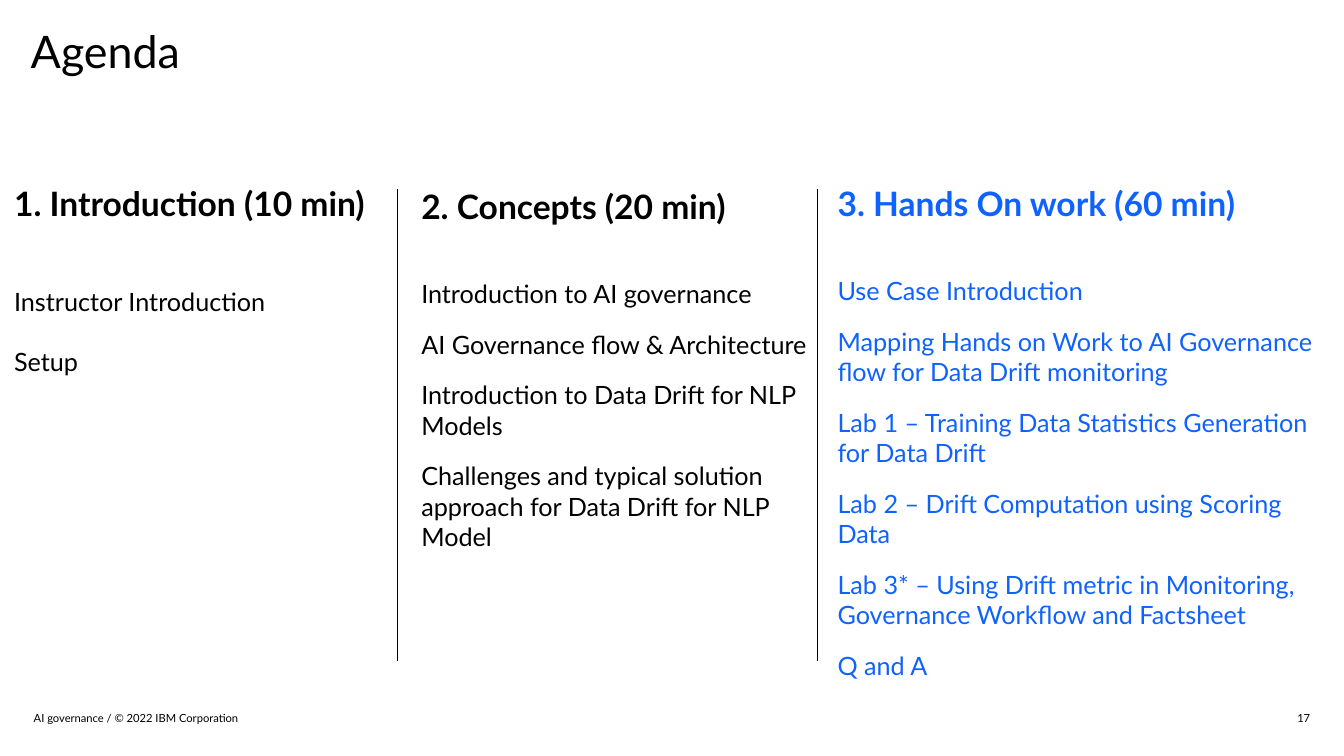
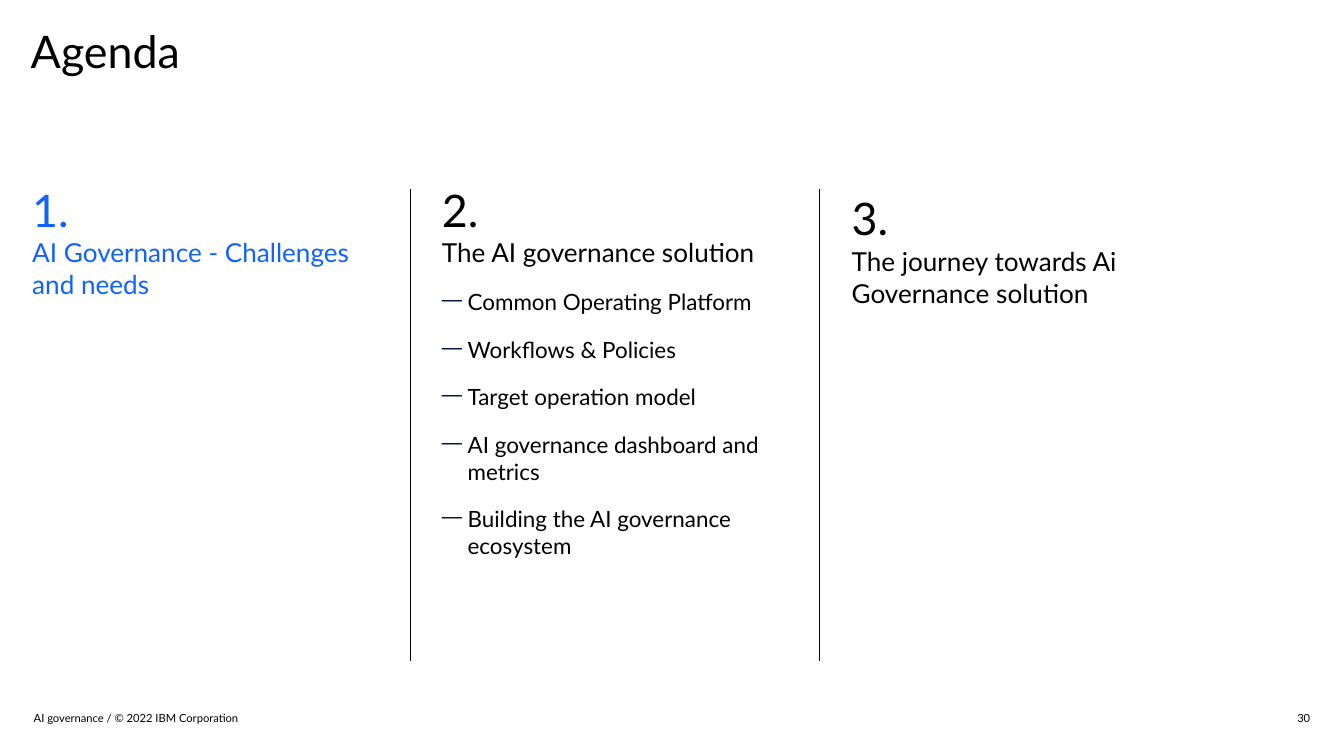
from dataclasses import dataclass

from lxml.etree import SubElement
from pptx import Presentation
from pptx.dml.color import RGBColor
from pptx.enum.shapes import MSO_CONNECTOR
from pptx.enum.text import MSO_ANCHOR, PP_ALIGN
from pptx.oxml.ns import qn
from pptx.util import Inches, Pt


@dataclass(frozen=True)
class Theme:
    font: str = "Lato"
    black: str = "000000"
    blue: str = "0F62FE"
    navy: str = "001141"
    title: float = 64
    heading: float = 48
    subheading: float = 37.3
    item: float = 36
    bullet: float = 32
    footer: float = 16
    gap: float = 29.3


T = Theme()
TOP, HEIGHT = 3.63, 9.48
RULE_TOP, RULE_BOTTOM = 3.76, 13.11


def add_box(slide, left, top, width, height, anchor=MSO_ANCHOR.TOP):
    """Add an unpadded, wrapping text box and return its text frame."""
    tf = slide.shapes.add_textbox(Inches(left), Inches(top), Inches(width), Inches(height)).text_frame
    tf.word_wrap = True
    tf.vertical_anchor = anchor
    tf.margin_left = tf.margin_top = tf.margin_right = tf.margin_bottom = 0
    return tf


def add_dash(p):
    """Give a paragraph a hanging em-dash bullet."""
    pPr = p._p.get_or_add_pPr()
    pPr.set("marL", str(Inches(0.51)))
    pPr.set("indent", str(-Inches(0.51)))
    SubElement(SubElement(pPr, qn("a:buClr")), qn("a:srgbClr"), val=T.navy)
    SubElement(pPr, qn("a:buSzPct"), val="90000")
    SubElement(pPr, qn("a:buChar"), char="—")


def add_run(p, text, size, color=T.black, bold=False):
    r = p.add_run()
    r.text = text
    r.font.name = T.font
    r.font.size = Pt(size)
    r.font.bold = bold
    r.font.color.rgb = RGBColor.from_string(color)


def write(tf, text, size, color=T.black, bold=False, before=0, align=PP_ALIGN.LEFT,
          line=None, dash=False):
    """Write one paragraph, using the frame's empty first one when it is free."""
    first = tf.paragraphs[0]
    p = tf.add_paragraph() if first.runs else first
    if dash:
        add_dash(p)
    p.alignment = align
    if before:
        p.space_before = Pt(before)
    if line:
        p.line_spacing = line
    add_run(p, text, size, color, bold)
    return p


def add_rule(slide, x):
    line = slide.shapes.add_connector(MSO_CONNECTOR.STRAIGHT, Inches(x), Inches(RULE_TOP),
                                      Inches(x), Inches(RULE_BOTTOM))
    line.line.color.rgb = RGBColor.from_string(T.black)
    line.line.width = Pt(0.25)
    SubElement(line._element.spPr, qn("a:effectLst"))


def add_agenda_slide(prs, number, rules):
    """Add a slide with the shared title, footer, page number and column rules."""
    slide = prs.slides.add_slide(prs.slide_layouts[6])
    write(add_box(slide, 0.61, 0.59, 12.08, 2.35), "Agenda", T.title, line=0.9)
    write(add_box(slide, 0.67, 14, 12, 0.49, MSO_ANCHOR.MIDDLE),
          "AI governance / © 2022 IBM Corporation", T.footer)
    write(add_box(slide, 20.67, 14, 5.33, 0.49, MSO_ANCHOR.MIDDLE),
          str(number), T.footer, align=PP_ALIGN.RIGHT)
    for x in rules:
        add_rule(slide, x)
    return slide


def add_timed_column(slide, box, heading, items, color=T.black, first_gap=74, gap=T.gap):
    tf = add_box(slide, *box)
    write(tf, heading, T.heading, color, bold=True)
    for i, item in enumerate(items):
        write(tf, item, T.item, color, before=gap if i else first_gap)


def add_numbered_column(slide, box, number, heading, items=(), color=T.black, drop=None):
    """Add a big number over a heading; drop is the size of a space that lowers the number."""
    tf = add_box(slide, *box)
    p = write(tf, number, T.title, color)
    if drop:
        add_run(p, " ", drop, color)
    write(tf, heading, T.subheading, color)
    for item in items:
        write(tf, item, T.bullet, before=T.gap, dash=True)


def build_timed_agenda(prs):
    slide = add_agenda_slide(prs, 17, (7.88, 16.21))
    add_timed_column(slide, (0.28, TOP, 7.18, HEIGHT), "1. Introduction (10 min)",
                     ["Instructor Introduction", "Setup"], first_gap=89.5, gap=43.2)
    add_timed_column(slide, (8.36, 3.69, 8.03, HEIGHT), "2. Concepts (20 min)", [
        "Introduction to AI governance",
        "AI Governance flow & Architecture",
        "Introduction to Data Drift for NLP Models",
        "Challenges and typical solution approach for Data Drift for NLP Model",
    ])
    add_timed_column(slide, (16.62, TOP, 9.77, 10.37), "3. Hands On work (60 min)", [
        "Use Case Introduction",
        "Mapping Hands on Work to AI Governance flow for Data Drift monitoring",
        "Lab 1 – Training Data Statistics Generation for Data Drift",
        "Lab 2 – Drift Computation using Scoring Data",
        "Lab 3* – Using Drift metric in Monitoring, Governance Workflow and Factsheet",
        "Q and A",
    ], T.blue)


def build_numbered_agenda(prs):
    pitch = 8.13
    slide = add_agenda_slide(prs, 30, (pitch, 2 * pitch))
    boxes = [(0.64 + i * pitch, TOP, 6.93, HEIGHT) for i in range(3)]
    add_numbered_column(slide, boxes[0], "1.", "AI Governance - Challenges and needs", color=T.blue)
    add_numbered_column(slide, boxes[1], "2.", "The AI governance solution", [
        "Common Operating Platform",
        "Workflows & Policies",
        "Target operation model",
        "AI governance dashboard and metrics",
        "Building the AI governance ecosystem",
    ])
    add_numbered_column(slide, boxes[2], "3.", "The journey towards Ai Governance solution", drop=74.7)


def main():
    prs = Presentation()
    prs.slide_width, prs.slide_height = Inches(26.67), Inches(15)
    build_timed_agenda(prs)
    build_numbered_agenda(prs)
    prs.save("out.pptx")


if __name__ == "__main__":
    main()
